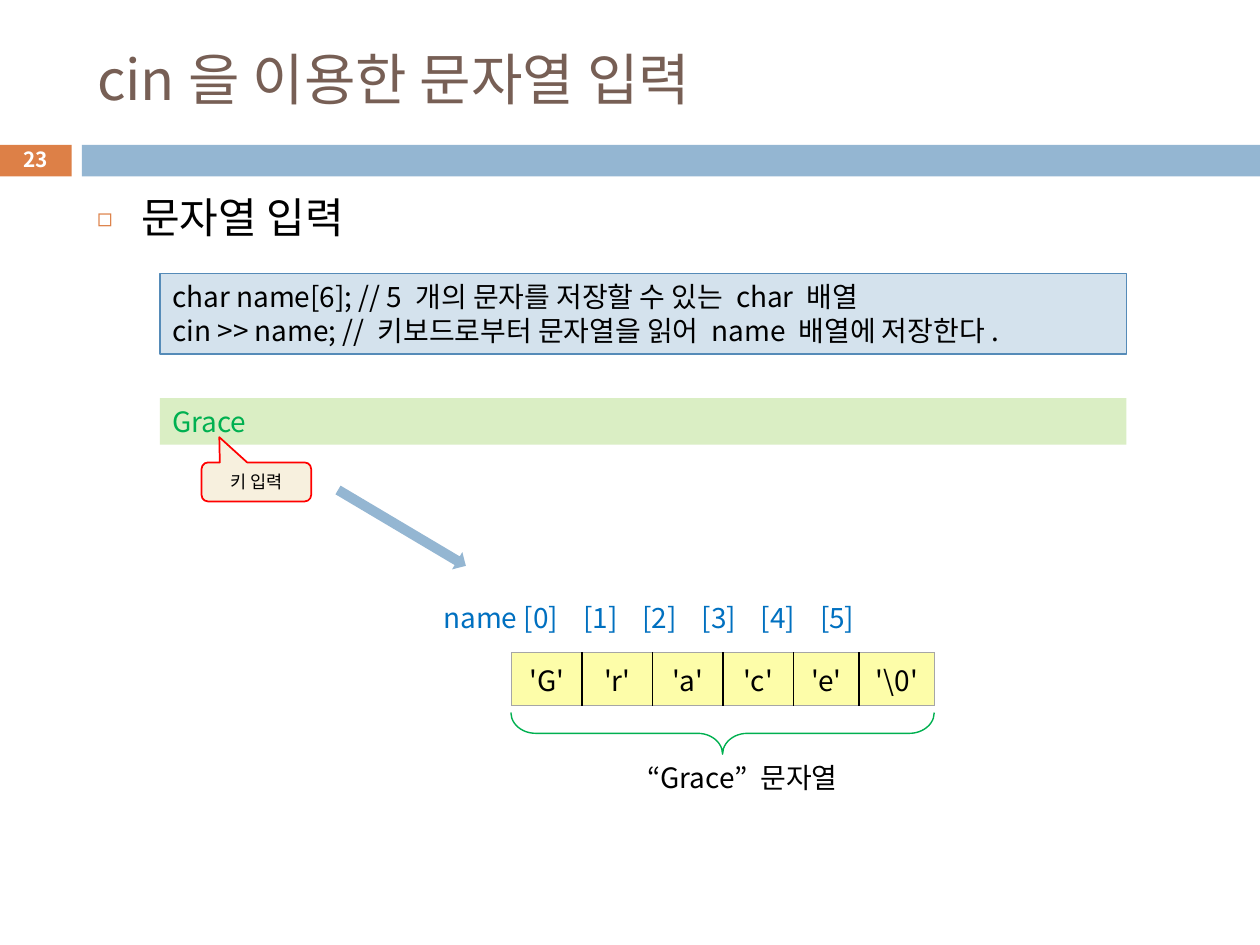
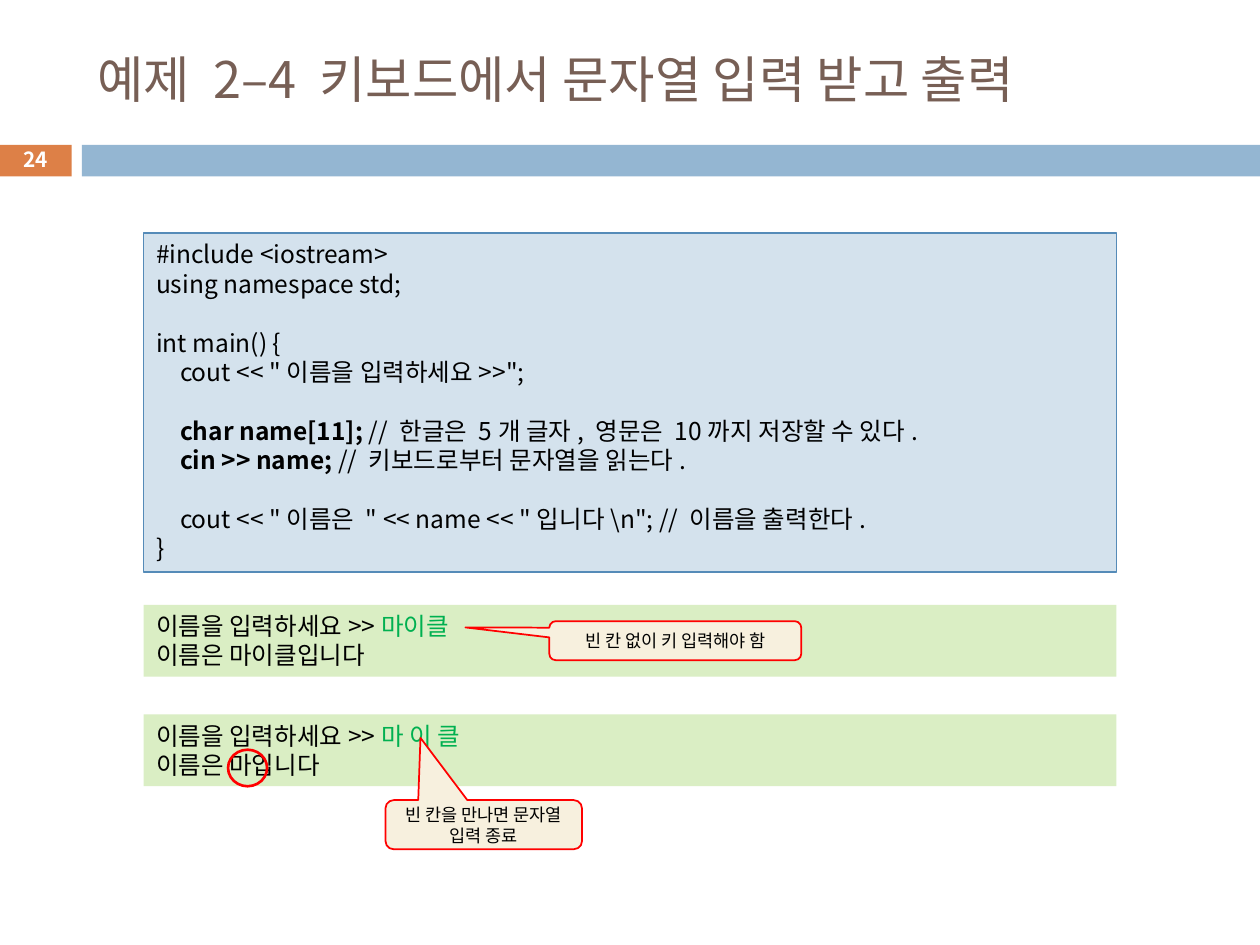
"""Two lecture slides on reading strings with cin."""
from lxml import etree
from pptx import Presentation
from pptx import util as u
from pptx.dml.color import RGBColor
from pptx.enum import shapes, text
from pptx.oxml import ns

FONT = "Noto Sans CJK KR"
COLOURS = {
    "title": "775F55", "accent": "DD8047", "band": "94B6D2",
    "code": "D4E2ED", "code_edge": "558BB8", "console": "DAEEC4",
    "typed": "00B050", "note": "F7F0DE", "mark": "FF0000",
    "index": "0070C0", "cell": "FDFDA9", "grid": "A6A6A6",
    "ink": "000000", "paper": "FFFFFF",
}
SHAPE = shapes.MSO_SHAPE
LEFT, CENTRE = text.PP_ALIGN.LEFT, text.PP_ALIGN.CENTER
TOP, MIDDLE = text.MSO_ANCHOR.TOP, text.MSO_ANCHOR.MIDDLE


def colour(key):
    """Look up a named colour."""
    return RGBColor.from_string(COLOURS[key])


def add_xml(parent, tag, **attributes):
    """Append a drawing element to a parent element."""
    return etree.SubElement(parent, ns.qn(tag), attributes)


def style_run(run, size, ink="ink", bold=False):
    """Give a run its font, size, colour and weight."""
    run.font.size = u.Pt(size)
    run.font.bold = bold
    run.font.color.rgb = colour(ink)
    run.font.name = FONT
    add_xml(run.font._element, "a:ea", typeface=FONT)


def write(frame, lines, size, ink="ink", bold=False, align=LEFT, anchor=TOP, tabs=()):
    """Fill a frame; a line is a string or (text, ink, bold) pieces, None leaves a gap."""
    frame.word_wrap = True
    frame.auto_size = text.MSO_AUTO_SIZE.NONE
    frame.vertical_anchor = anchor
    pitch = u.Pt(round(1.2 * size, 1))
    paragraph, gap = None, 0
    for line in lines:
        if line is None:
            gap = pitch
            continue
        paragraph = frame.add_paragraph() if paragraph else frame.paragraphs[0]
        paragraph.alignment = align
        paragraph.line_spacing = pitch
        paragraph.space_before = gap
        gap = 0
        if tabs:
            stops = add_xml(paragraph._p.get_or_add_pPr(), "a:tabLst")
            for stop in tabs:
                add_xml(stops, "a:tab", pos=str(u.Inches(stop)), algn="l")
        for words, tint, weight in [(line, ink, bold)] if isinstance(line, str) else line:
            run = paragraph.add_run()
            run.text = words
            style_run(run, size, tint, weight)


def place(item, at):
    """Move and size an item, in inches."""
    item.left, item.top, item.width, item.height = map(u.Inches, at)


def add_shape(slide, kind, at, fill=None, line=None, weight=1, turn=0, adjust=()):
    """Draw a preset shape without a shadow."""
    shape = slide.shapes.add_shape(kind, *map(u.Inches, at))
    shape.shadow.inherit = False
    shape.rotation = turn
    for number, value in enumerate(adjust):
        shape.adjustments[number] = value
    if fill:
        shape.fill.solid()
        shape.fill.fore_color.rgb = colour(fill)
    else:
        shape.fill.background()
    if line:
        shape.line.color.rgb = colour(line)
        shape.line.width = u.Pt(weight)
    else:
        shape.line.fill.background()
    return shape


def add_label(slide, at, lines, size, **style):
    """Add a plain text box."""
    frame = slide.shapes.add_textbox(*map(u.Inches, at)).text_frame
    write(frame, lines, size, **style)
    return frame


def add_code(slide, at, lines, size):
    """Add a bordered code panel."""
    panel = add_shape(slide, SHAPE.RECTANGLE, at, "code", "code_edge", 0.75)
    write(panel.text_frame, lines, size, tabs=[0.19])


def add_console(slide, at, lines, size):
    """Add a panel of program output."""
    panel = add_shape(slide, SHAPE.RECTANGLE, at, "console")
    write(panel.text_frame, lines, size)


def add_callout(slide, at, words, tip):
    """Add a red-edged callout whose tip is relative to its centre."""
    callout = add_shape(slide, SHAPE.ROUNDED_RECTANGULAR_CALLOUT, at, "note", "mark",
                        adjust=(*tip, 0.167))
    write(callout.text_frame, [words], 10, align=CENTRE, anchor=MIDDLE)


def start_slide(deck, layout, title, size, number):
    """Add a slide with the shared bands, title and number."""
    slide = deck.slides.add_slide(deck.slide_layouts[layout])
    add_shape(slide, SHAPE.RECTANGLE, (0, 1.15, 0.57, 0.25), "accent")
    add_shape(slide, SHAPE.RECTANGLE, (0.65, 1.15, 9.35, 0.25), "band")
    place(slide.shapes.title, (0.67, 0.25, 8.92, 0.74))
    write(slide.shapes.title.text_frame, [title], size, "title", anchor=MIDDLE)
    add_label(slide, (0, 1.13, 0.57, 0.27), [str(number)], 11.9, ink="paper",
              bold=True, align=CENTRE, anchor=MIDDLE)
    return slide


def add_bullet(slide, words):
    """Put one square-bulleted line in the body placeholder."""
    body = slide.placeholders[1]
    place(body, (0.67, 1.47, 8.92, 5.51))
    write(body.text_frame, [words], 24)
    properties = body.text_frame.paragraphs[0]._p.get_or_add_pPr()
    properties.set("marL", str(u.Inches(0.35)))
    properties.set("indent", str(u.Inches(-0.35)))
    add_xml(add_xml(properties, "a:buClr"), "a:srgbClr", val=COLOURS["accent"])
    add_xml(properties, "a:buSzPct", val="60000")
    add_xml(properties, "a:buFont", typeface=FONT)
    add_xml(properties, "a:buChar", char="◻")


def edge_cell(cell, edges):
    """Draw cell borders given as {side: (colour, points)}."""
    properties = cell._tc.get_or_add_tcPr()
    for place_in_order, (side, (ink, points)) in enumerate(edges.items()):
        border = etree.Element(ns.qn(f"a:ln{side}"), w=str(u.Pt(points)))
        add_xml(add_xml(border, "a:solidFill"), "a:srgbClr", val=COLOURS[ink])
        properties.insert(place_in_order, border)


def add_array(slide, left, top, widths, letters):
    """Add the one-row table of stored characters."""
    height = u.Inches(0.42)
    table = slide.shapes.add_table(1, len(letters), u.Inches(left), u.Inches(top),
                                   u.Inches(sum(widths)), height).table
    table.first_row = table.horz_banding = False
    table.rows[0].height = height
    inner, outer = ("ink", 1), ("grid", 0.75)
    last = len(letters) - 1
    for index, (letter, width) in enumerate(zip(letters, widths)):
        table.columns[index].width = u.Inches(width)
        cell = table.cell(0, index)
        cell.text = letter
        cell.vertical_anchor = MIDDLE
        cell.text_frame.paragraphs[0].alignment = CENTRE
        style_run(cell.text_frame.paragraphs[0].runs[0], 16)
        cell.fill.solid()
        cell.fill.fore_color.rgb = colour("cell")
        edge_cell(cell, {"L": inner if index else outer,
                         "R": inner if index < last else outer,
                         "T": outer, "B": outer})


def build_input_slide(deck):
    """Show how cin stores typed letters in a char array."""
    slide = start_slide(deck, 1, "cin을 이용한 문자열 입력", 32, 23)
    add_bullet(slide, "문자열 입력")
    add_array(slide, 4.06, 5.18, [0.56] * 4 + [0.52, 0.6],
              ["'G'", "'r'", "'a'", "'c'", "'e'", "'\\0'"])
    add_shape(slide, SHAPE.LEFT_BRACE, (5.57, 4.14, 0.33, 3.36), line="typed",
              weight=0.79, turn=270, adjust=(0.598, 0.5))
    indices = "\t".join(f"[{index}]" for index in range(6))
    add_label(slide, (3.42, 4.72, 3.99, 0.37), [f"name\t{indices}"], 16, ink="index",
              tabs=[round(0.64 + 0.47 * index, 2) for index in range(6)])
    result = add_label(slide, (5.04, 5.99, 1.71, 0.37), ["“Grace” 문자열"], 16)
    result.margin_right = 0
    add_code(slide, (1.27, 2.17, 7.67, 0.64), [
        "char name[6]; // 5 개의 문자를 저장할 수 있는 char 배열",
        "cin >> name; // 키보드로부터 문자열을 읽어 name 배열에 저장한다.",
    ], 16)
    add_console(slide, (1.27, 3.16, 7.67, 0.37), [[("Grace", "typed", False)]], 16)
    add_callout(slide, (1.6, 3.67, 0.87, 0.31), "키 입력", (-0.338, -1.147))
    add_shape(slide, SHAPE.RIGHT_ARROW, (2.6, 4.11, 1.18, 0.16), "band", turn=30.7)


def build_example_slide(deck):
    """Show the example program and two of its runs."""
    slide = start_slide(deck, 5, "예제 2–4 키보드에서 문자열 입력 받고 출력", 28.8, 24)
    add_code(slide, (1.14, 1.85, 7.72, 2.69), [
        "#include <iostream>",
        "using namespace std;",
        None,
        "int main() {",
        "\tcout << \"이름을 입력하세요>>\";",
        None,
        [("\tchar name[11]; ", "ink", True),
         ("// 한글은 5개 글자, 영문은 10까지 저장할 수 있다.", "ink", False)],
        [("\tcin >> name; ", "ink", True),
         ("// 키보드로부터 문자열을 읽는다.", "ink", False)],
        None,
        "\tcout << \"이름은 \" << name << \"입니다\\n\"; // 이름을 출력한다.",
        "}",
    ], 14)
    sessions = [(4.8, "마이클", "이름은 마이클입니다"), (5.67, "마 이 클", "이름은 마입니다")]
    for top, typed, reply in sessions:
        prompt = [("이름을 입력하세요>>", "ink", False), (typed, "typed", False)]
        add_console(slide, (1.14, top, 7.72, 0.57), [prompt, reply], 14)
    add_callout(slide, (4.36, 4.93, 2, 0.31), "빈 칸 없이 키 입력해야 함", (-0.833, -0.339))
    add_callout(slide, (3.06, 6.35, 1.56, 0.39), "빈 칸을 만나면 문자열 입력 종료",
                (-0.322, -1.767))
    add_shape(slide, SHAPE.OVAL, (1.81, 5.95, 0.31, 0.29), line="mark", weight=1.5)


def main():
    """Build and save the deck."""
    deck = Presentation()
    deck.slide_width, deck.slide_height = u.Inches(10), u.Inches(7.5)
    build_input_slide(deck)
    build_example_slide(deck)
    deck.save("out.pptx")


if __name__ == "__main__":
    main()
